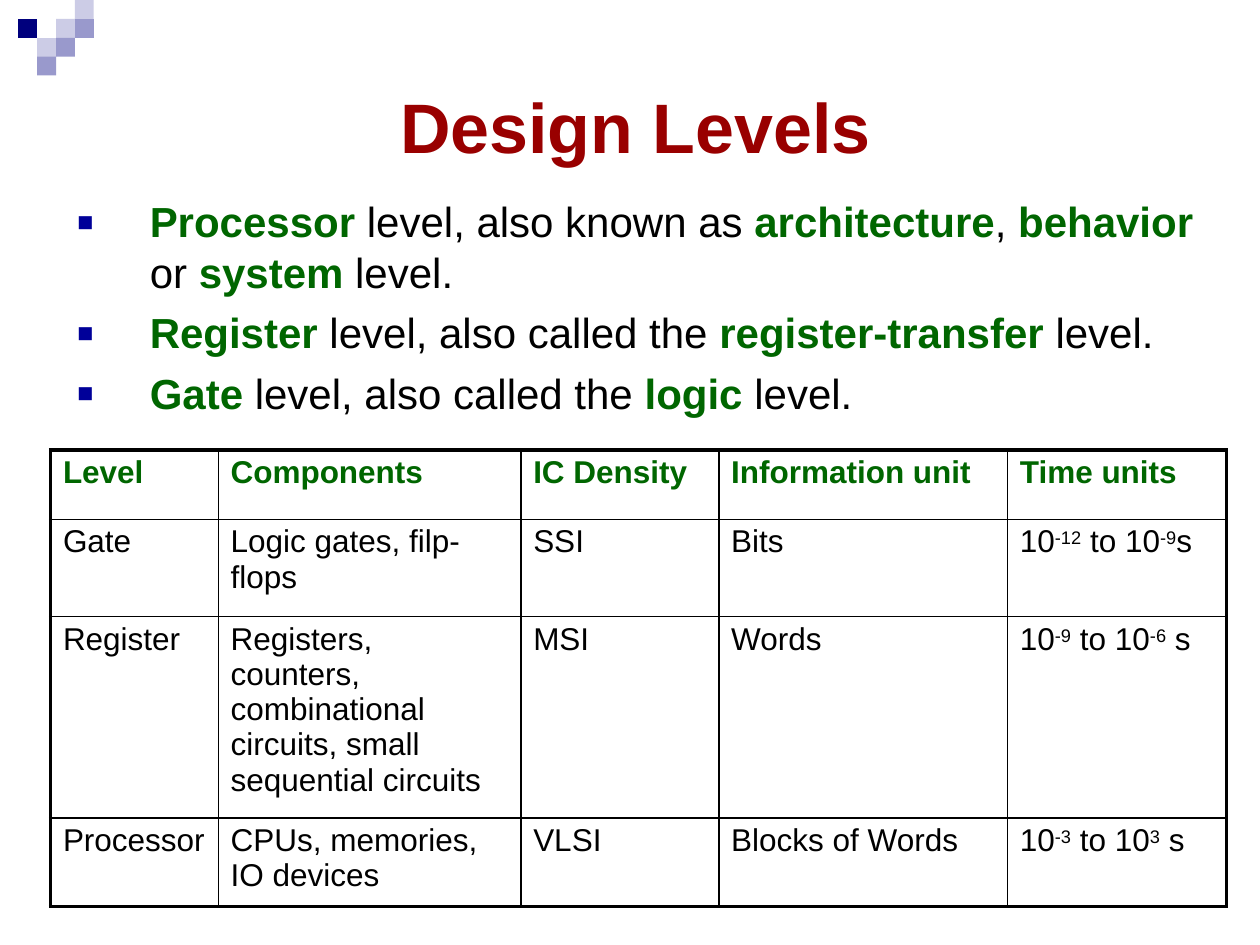
import pptx
import pptx.util
import pptx.dml.color
import pptx.oxml.ns
from lxml import etree

Cm = pptx.util.Cm
Pt = pptx.util.Pt

THEME = {
    "font": "Arial",
    "red": "990000", "green": "006600", "black": "000000", "blue": "000099",
    "navy": "00007D", "pale": "CCCCE6", "mauve": "9999CC",
    "title": 40, "body": 24, "cell": 18,
    "edge": 2.25, "inner": 1,
}

TITLE = "Design Levels"
POINTS = [
    "*Processor* level, also known as *architecture*, *behavior* or *system* level.",
    "*Register* level, also called the *register-transfer* level.",
    "*Gate* level, also called the *logic* level.",
]
ROWS = [
    ["*Level*", "*Components*", "*IC Density*", "*Information unit*", "*Time units*"],
    ["Gate", "Logic gates, filp-flops", "SSI", "Bits", "10^-12^ to 10^-9^s"],
    ["Register", "Registers, counters, combinational circuits, small sequential circuits",
     "MSI", "Words", "10^-9^ to 10^-6^ s"],
    ["Processor", "CPUs, memories, IO devices", "VLSI", "Blocks of Words",
     "10^-3^ to 10^3^ s"],
]
WIDTHS = [3.38, 6.1, 3.99, 5.82, 4.42]
HEIGHTS = [1.4, 1.96, 4.06, 1.78]
PADS = [0, 0.6, 0, 0, 0]
TILES = [
    ("pale", [(2, 1), (3, 0)]),
    ("mauve", [(3, 1)]),
    ("pale", [(1, 2)]),
    ("navy", [(0, 1)]),
    ("mauve", [(2, 2), (1, 3)]),
]
TILE = 0.38
LEFT = 0.37


def color(name):
    return pptx.dml.color.RGBColor.from_string(THEME[name])


def node(parent, tag, **attrs):
    item = etree.SubElement(parent, pptx.oxml.ns.qn("a:" + tag))
    for key, value in attrs.items():
        item.set(key, str(value))
    return item


def write(para, text, size="body", ink="black", bold=False, left=0, hang=0,
          before=0, bullet=False):
    props = para._p.get_or_add_pPr()
    props.set("marL", str(Cm(left)))
    props.set("indent", str(-Cm(hang)))
    if bullet:
        node(node(props, "buClr"), "srgbClr", val=THEME["blue"])
        node(props, "buSzPct", val=125000)
        node(props, "buFont", typeface=THEME["font"])
        node(props, "buChar", char="▪")
    if before:
        para.space_before = Pt(before)
    for i, part in enumerate(text.split("*")):
        for j, piece in enumerate(part.split("^")):
            if not piece:
                continue
            run = para.add_run()
            run.text = piece
            run.font.name = THEME["font"]
            run.font.size = Pt(THEME[size])
            run.font.bold = bold or i % 2 == 1
            run.font.color.rgb = color("green" if i % 2 else ink)
            if j % 2:
                run.font._element.set("baseline", "25000")


def frame(slide, left, top, width, height, inset):
    box = slide.shapes.add_textbox(Cm(left), Cm(top), Cm(width), Cm(height))
    text = box.text_frame
    text.word_wrap = True
    text.margin_left = text.margin_right = text.margin_bottom = 0
    text.margin_top = Cm(inset)
    return text


def tiles(slide):
    for name, spots in TILES:
        form = None
        for x, y in spots:
            if form is None:
                form = slide.shapes.build_freeform(x, y, scale=float(Cm(TILE)))
            else:
                form.move_to(x, y)
            form.add_line_segments([(x + 1, y), (x + 1, y + 1), (x, y + 1)], close=True)
        shape = form.convert_to_shape(Cm(LEFT), 0)
        shape.shadow.inherit = False
        shape.fill.solid()
        shape.fill.fore_color.rgb = color(name)
        shape.line.fill.background()


def border(cell, row, col):
    props = cell._tc.get_or_add_tcPr()
    sides = {
        "lnL": col == 0,
        "lnR": col == len(WIDTHS) - 1,
        "lnT": row == 0,
        "lnB": row == len(HEIGHTS) - 1,
    }
    for tag, outer in sides.items():
        line = node(props, tag, w=Pt(THEME["edge" if outer else "inner"]))
        node(node(line, "solidFill"), "srgbClr", val=THEME["black"])


def table(slide):
    grid = slide.shapes.add_table(
        len(ROWS), len(WIDTHS), Cm(1.02), Cm(9.07),
        Cm(sum(WIDTHS)), Cm(sum(HEIGHTS))).table
    grid.first_row = grid.horz_banding = False
    for col, width in zip(grid.columns, WIDTHS):
        col.width = Cm(width)
    for row, height in zip(grid.rows, HEIGHTS):
        row.height = Cm(height)
    for r, texts in enumerate(ROWS):
        for c, text in enumerate(texts):
            cell = grid.cell(r, c)
            cell.margin_left = cell.margin_bottom = 0
            cell.margin_top = Cm(0.1)
            cell.margin_right = Cm(PADS[c])
            border(cell, r, c)
            cell.fill.background()
            write(cell.text_frame.paragraphs[0], text, size="cell", left=0.25)


def main():
    deck = pptx.Presentation()
    deck.slide_width, deck.slide_height = Cm(25.4), Cm(19.05)
    slide = deck.slides.add_slide(deck.slide_layouts[6])
    tiles(slide)
    head = frame(slide, 1.24, 1.22, 23.37, 2.34, 0.47)
    write(head.paragraphs[0], TITLE, size="title", ink="red", bold=True, left=6.83)
    body = frame(slide, 1.5, 3.89, 22.63, 4.57, 0.06)
    for i, text in enumerate(POINTS):
        para = body.add_paragraph() if i else body.paragraphs[0]
        write(para, text, left=1.52, hang=1.47, before=5.8 if i else 0, bullet=True)
    table(slide)
    deck.save("out.pptx")


if __name__ == "__main__":
    main()
